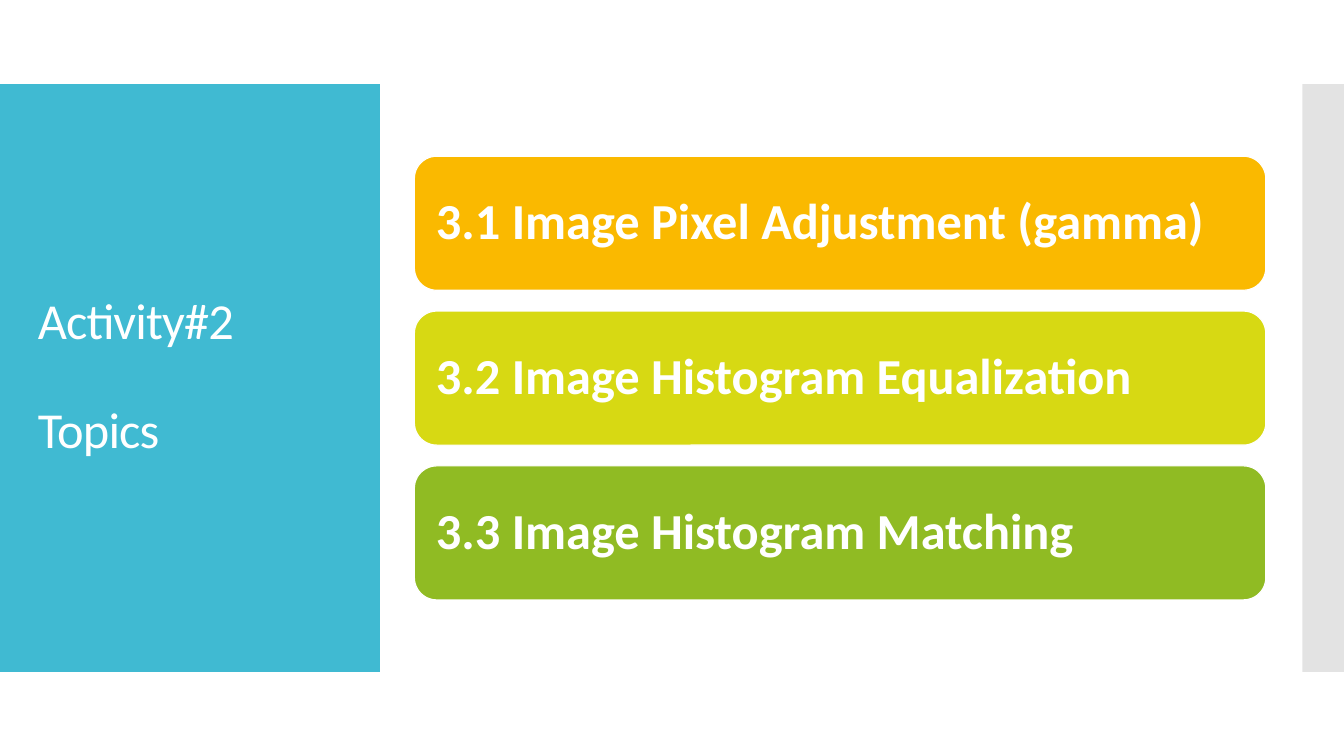
from pptx import Presentation
from pptx.dml.color import RGBColor
from pptx.enum.shapes import MSO_SHAPE
from pptx.enum.text import MSO_ANCHOR, PP_ALIGN
from pptx.util import Pt
from lxml.etree import SubElement
from pptx.oxml.ns import qn

COLORS = {
    "panel": "40BAD2",
    "edge": "C8C8C8",
    "amber": "FAB900",
    "lime": "D7D913",
    "green": "90BB23",
    "white": "FFFFFF",
}
FONT_FORMAT = {"name": "Calibri", "size": Pt(36)}
PARAGRAPH_FORMAT = {"alignment": PP_ALIGN.LEFT, "line_spacing": 0.9}
TOPICS = [
    ("3.1 Image Pixel Adjustment (gamma)", "amber"),
    ("3.2 Image Histogram Equalization", "lime"),
    ("3.3 Image Histogram Matching", "green"),
]
CARD_TOP, CARD_HEIGHT, CARD_PITCH = 111.6, 95.76, 110.6


def add_block(kind, left, top, width, height, color):
    shape = slide.shapes.add_shape(kind, Pt(left), Pt(top), Pt(width), Pt(height))
    shape.shadow.inherit = False
    shape.fill.solid()
    shape.fill.fore_color.rgb = RGBColor.from_string(COLORS[color])
    shape.line.fill.background()
    return shape


def write_line(paragraph, text, bold):
    for name, value in PARAGRAPH_FORMAT.items():
        setattr(paragraph, name, value)
    run = paragraph.add_run()
    run.text = text
    for name, value in FONT_FORMAT.items():
        setattr(run.font, name, value)
    run.font.bold = bold
    run.font.color.rgb = RGBColor.from_string(COLORS["white"])
    return run


presentation = Presentation()
presentation.slide_width = Pt(960)
presentation.slide_height = Pt(540)
slide = presentation.slides.add_slide(presentation.slide_layouts[6])

add_block(MSO_SHAPE.RECTANGLE, 0, 60, 271.4, 420, "panel")
edge = add_block(MSO_SHAPE.RECTANGLE, 930.2, 60, 29.8, 420, "edge")
edge_color = edge.fill._xPr.find(qn("a:solidFill"))[0]
SubElement(edge_color, qn("a:alpha"), val="50000")

title = slide.shapes.add_textbox(Pt(20), Pt(88.5), Pt(232), Pt(362))
title_frame = title.text_frame
title_frame.word_wrap = True
title_frame.vertical_anchor = MSO_ANCHOR.MIDDLE
first_line = title_frame.paragraphs[0]
second_line = title_frame.add_paragraph()
second_line.space_before = Pt(39)
for paragraph, text in [(first_line, "Activity#2"), (second_line, "Topics")]:
    run = write_line(paragraph, text, False)
    run.font._element.set("spc", "-60")

for index, (topic, color) in enumerate(TOPICS):
    card = add_block(MSO_SHAPE.ROUNDED_RECTANGLE, 296, CARD_TOP + index * CARD_PITCH,
                     608.2, CARD_HEIGHT, color)
    card.line.color.rgb = RGBColor.from_string(COLORS["white"])
    card.line.width = Pt(0.85)
    card_frame = card.text_frame
    card_frame.word_wrap = True
    card_frame.vertical_anchor = MSO_ANCHOR.MIDDLE
    for side in ("left", "top", "right", "bottom"):
        setattr(card_frame, f"margin_{side}", Pt(10.8))
    write_line(card_frame.paragraphs[0], topic, True)

presentation.save("out.pptx")
